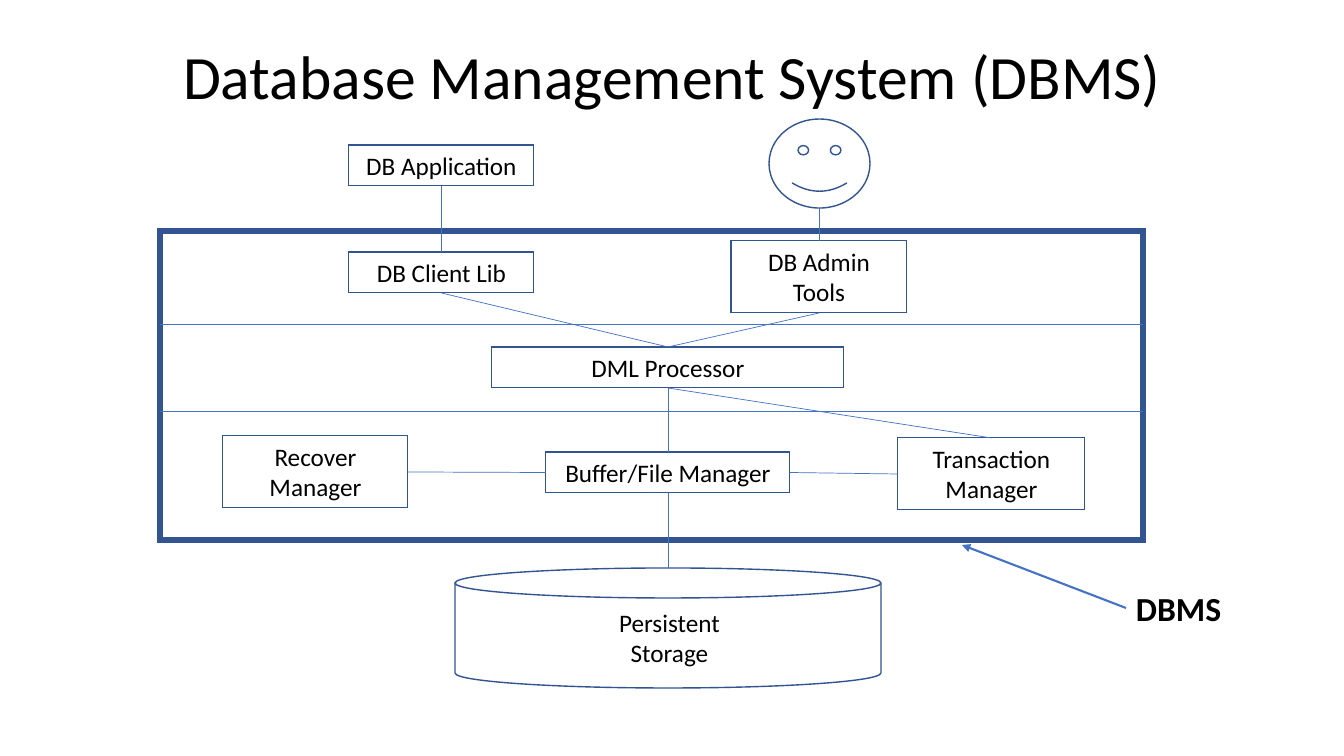
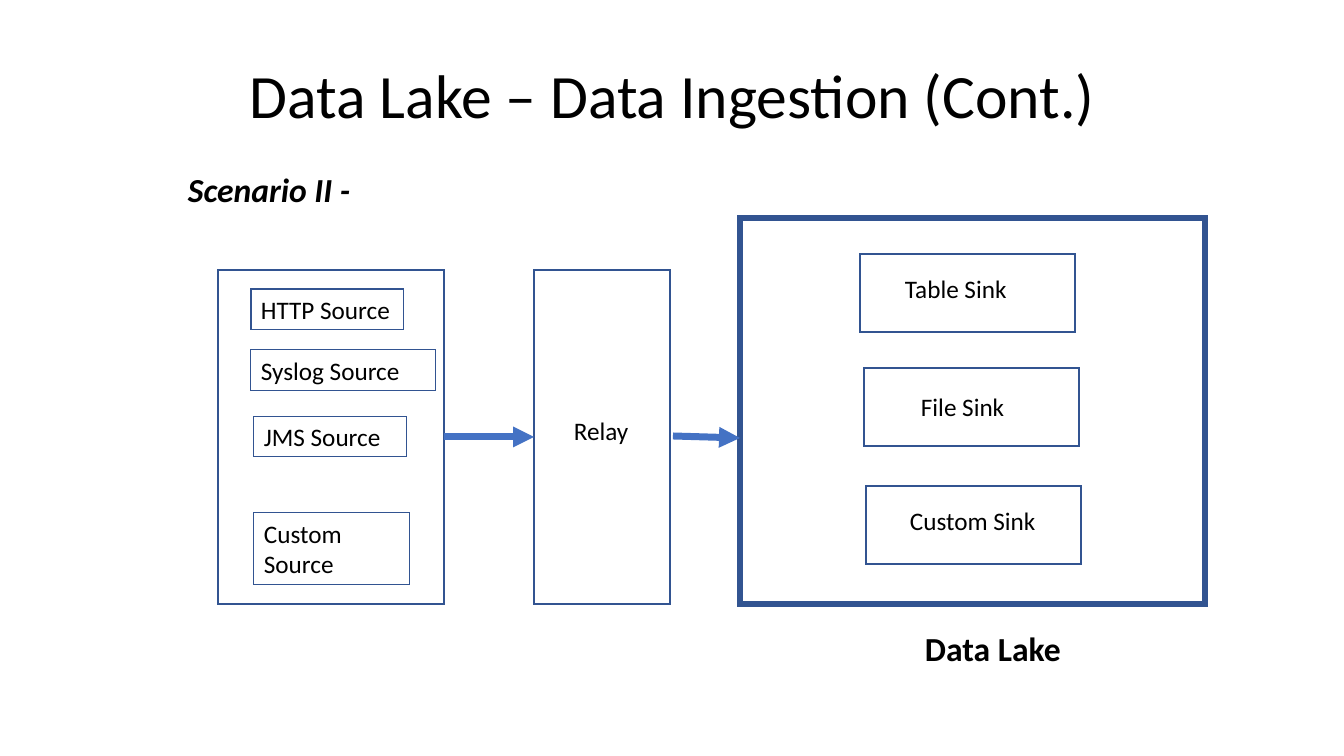
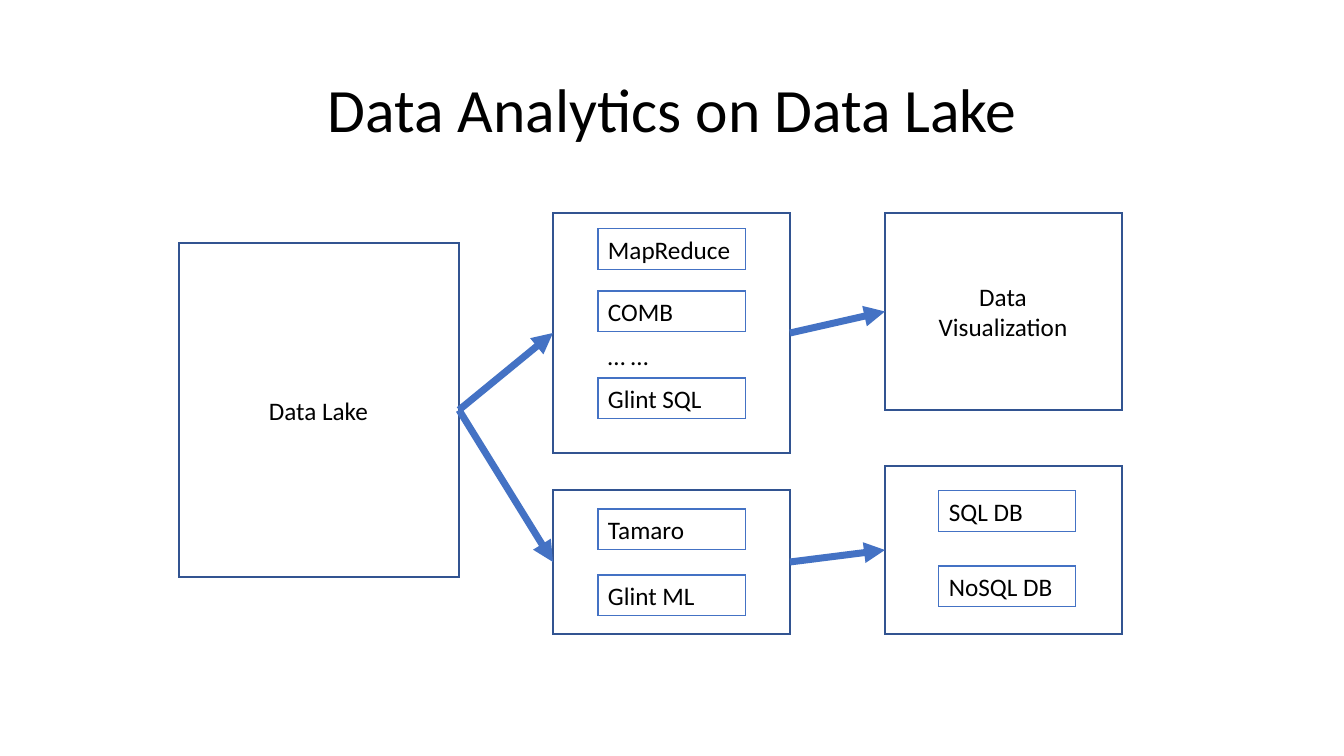
"""Build three slides on database systems and data lakes."""
import pptx
import pptx.dml.color
import pptx.enum.shapes
import pptx.enum.text
import pptx.oxml
import pptx.oxml.ns
import pptx.util

SCALE = 914400 / 100.8
FONT = "Calibri"
BLACK, NAVY, BLUE = "000000", "325491", "4472C4"
SHAPES = pptx.enum.shapes.MSO_SHAPE
ALIGN = pptx.enum.text.PP_ALIGN
TOP, LEFT, BOTTOM, RIGHT = range(4)
LINE_HEIGHT, TWO_LINES = 41, 72


def emu(*pixels):
    """Turn pixel lengths into EMU."""
    return [pptx.util.Emu(round(length * SCALE)) for length in pixels]


def color(value):
    """Turn a hex string into a colour."""
    return pptx.dml.color.RGBColor.from_string(value)


def append_element(parent, tag, attributes=""):
    """Append an empty drawing element to an XML parent."""
    namespace = pptx.oxml.ns.nsdecls("a")
    parent.append(pptx.oxml.parse_xml(f"<a:{tag} {namespace} {attributes}/>"))


def write(shape, text, size=18, bold=False, italic=False, align=ALIGN.LEFT):
    """Fill a shape with text from the top, one paragraph per line."""
    frame = shape.text_frame
    frame.word_wrap = True
    frame.vertical_anchor = pptx.enum.text.MSO_ANCHOR.TOP
    frame.text = text
    for paragraph in frame.paragraphs:
        paragraph.alignment = align
        for run in paragraph.runs:
            run.font.name = FONT
            run.font.size = pptx.util.Pt(size)
            run.font.bold = bold
            run.font.italic = italic
            run.font.color.rgb = color(BLACK)


def add_label(slide, place, text, **style):
    """Add text without an outline."""
    label = slide.shapes.add_textbox(*emu(*place))
    write(label, text, **style)
    return label


def add_title(slide, text, top, height):
    """Add the centred slide title."""
    title = add_label(slide, (93, top, 1159, height), text, size=44, align=ALIGN.CENTER)
    title.text_frame.vertical_anchor = pptx.enum.text.MSO_ANCHOR.MIDDLE
    title.text_frame.paragraphs[0].line_spacing = 0.9


def add_outline(slide, place, kind=SHAPES.RECTANGLE, line=NAVY, width=1):
    """Add an unfilled outlined shape with sharp corners."""
    shape = slide.shapes.add_shape(kind, *emu(*place))
    shape.shadow.inherit = False
    shape.fill.background()
    shape.line.color.rgb = color(line)
    shape.line.width = pptx.util.Pt(width)
    append_element(shape.line._get_or_add_ln(), "miter", 'lim="800000"')
    return shape


def add_box(slide, place, text, line=NAVY, align=ALIGN.LEFT):
    """Add a thinly outlined box with text."""
    box = add_outline(slide, place, line=line, width=0.75)
    write(box, text, align=align)
    return box


def add_line(slide, start, end, width=0.5, arrow=False):
    """Add a straight line between two points."""
    straight = pptx.enum.shapes.MSO_CONNECTOR.STRAIGHT
    connector = slide.shapes.add_connector(straight, *emu(*start, *end))
    connector.line.color.rgb = color(BLUE)
    connector.line.width = pptx.util.Pt(width)
    if arrow:
        append_element(connector.line._get_or_add_ln(), "tailEnd", 'type="triangle"')
    append_element(connector._element.spPr, "effectLst")
    return connector


def join(slide, start, start_side, end, end_side, **style):
    """Join the sides of two boxes with a line."""
    connector = add_line(slide, (0, 0), (1, 1), **style)
    connector.begin_connect(start, start_side)
    connector.end_connect(end, end_side)


def build_dbms(slide):
    """Show the layers of a database management system."""
    add_title(slide, "Database Management System (DBMS)", 35, 89)
    add_outline(slide, (160, 231, 983, 309), width=4)
    for divider in (324, 411):
        add_line(slide, (160, divider), (1143, divider))

    def component(left, top, width, text, height=LINE_HEIGHT):
        """Add one centred component box."""
        return add_box(slide, (left, top, width, height), text, align=ALIGN.CENTER)

    application = component(349, 145, 185, "DB Application")
    client = component(349, 252, 185, "DB Client Lib")
    admin = component(731, 241, 176, "DB Admin Tools", TWO_LINES)
    processor = component(492, 347, 352, "DML Processor")
    recovery = component(223, 436, 185, "Recover Manager", TWO_LINES)
    buffer = component(546, 452, 244, "Buffer/File Manager")
    transaction = component(898, 438, 187, "Transaction\nManager", TWO_LINES)
    for upper, lower in ((application, client), (client, processor),
                         (admin, processor), (processor, buffer),
                         (processor, transaction)):
        join(slide, upper, BOTTOM, lower, TOP)
    join(slide, recovery, RIGHT, buffer, LEFT)
    join(slide, transaction, LEFT, buffer, RIGHT)

    add_outline(slide, (769, 119, 101, 89), SHAPES.SMILEY_FACE)
    add_line(slide, (819, 208), (819, 241))
    add_outline(slide, (455, 568, 426, 120), SHAPES.CAN)
    add_line(slide, (668, 493), (668, 568))
    add_label(slide, (577, 602, 185, TWO_LINES), "Persistent Storage", align=ALIGN.CENTER)
    add_label(slide, (1126, 583, 151, 50), "DBMS", size=24, bold=True)
    add_line(slide, (1126, 608), (962, 545), width=1.5, arrow=True)


def build_ingestion(slide):
    """Show sources flowing into the sinks of a data lake."""
    add_title(slide, "Data Lake – Data Ingestion (Cont.)", 40, 118)
    add_label(slide, (178, 164, 226, 50), "Scenario II -", size=24, bold=True, italic=True)
    sources = add_outline(slide, (218, 270, 226, 334))
    for left, top, width, height, text in (
            (251, 289, 153, LINE_HEIGHT, "HTTP Source"),
            (251, 350, 185, LINE_HEIGHT, "Syslog Source"),
            (254, 416, 153, LINE_HEIGHT, "JMS Source"),
            (254, 513, 156, TWO_LINES, "Custom Source")):
        add_box(slide, (left, top, width, height), text)

    relay = add_outline(slide, (534, 270, 136, 334))
    add_label(slide, (564, 410, 92, LINE_HEIGHT), "Relay")
    add_outline(slide, (740, 218, 465, 386), width=4)
    add_label(slide, (915, 623, 174, 50), "Data Lake", size=24, bold=True)
    for left, top, text_left, text_top, text in (
            (860, 254, 895, 268, "Table Sink"),
            (864, 368, 911, 386, "File Sink"),
            (866, 486, 900, 500, "Custom Sink")):
        add_outline(slide, (left, top, 215, 78))
        add_label(slide, (text_left, text_top, 161, LINE_HEIGHT), text)
    join(slide, sources, RIGHT, relay, LEFT, width=5, arrow=True)
    add_line(slide, (673, 436), (740, 438), width=5, arrow=True)


def build_analytics(slide):
    """Show analytics tools between the lake and its outputs."""
    add_title(slide, "Data Analytics on Data Lake", 40, 146)
    lake = add_outline(slide, (179, 243, 280, 334))
    queries = add_outline(slide, (553, 213, 237, 240))
    learning = add_outline(slide, (553, 490, 237, 144))
    visuals = add_outline(slide, (885, 213, 237, 197))
    databases = add_outline(slide, (885, 466, 237, 168))
    for start, end in ((lake, queries), (lake, learning),
                       (queries, visuals), (learning, databases)):
        join(slide, start, RIGHT, end, LEFT, width=5, arrow=True)

    add_label(slide, (259, 390, 148, LINE_HEIGHT), "Data Lake")
    add_label(slide, (598, 335, 148, LINE_HEIGHT), "… …")
    add_label(slide, (919, 276, 168, TWO_LINES), "Data Visualization", align=ALIGN.CENTER)
    tools = ((229, "MapReduce"), (291, "COMB"), (378, "Glint SQL"),
             (509, "Tamaro"), (575, "Glint ML"))
    stores = ((491, "SQL DB"), (566, "NoSQL DB"))
    for left, width, column in ((598, 148, tools), (939, 137, stores)):
        for top, text in column:
            add_box(slide, (left, top, width, LINE_HEIGHT), text, line=BLUE)


def main():
    """Build and save the presentation."""
    presentation = pptx.Presentation()
    presentation.slide_width, presentation.slide_height = emu(1344, 756)
    blank = presentation.slide_layouts[6]
    for build in (build_dbms, build_ingestion, build_analytics):
        build(presentation.slides.add_slide(blank))
    presentation.save("out.pptx")


main()
